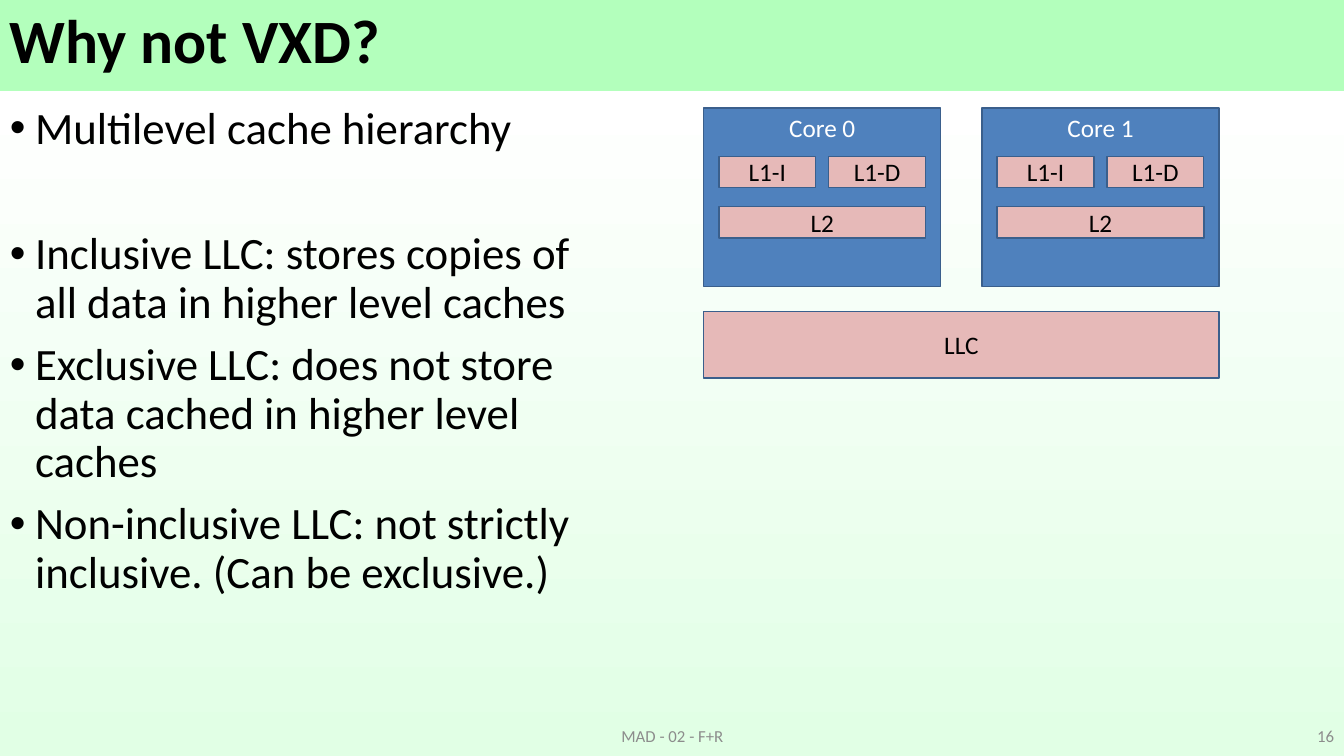
import copy
import pptx
import pptx.dml.color
import pptx.enum.shapes
import pptx.enum.text
import pptx.oxml
import pptx.oxml.ns
import pptx.util

Inches = pptx.util.Inches
Pt = pptx.util.Pt
qn = pptx.oxml.ns.qn
ALIGN = pptx.enum.text.PP_ALIGN
ANCHOR = pptx.enum.text.MSO_ANCHOR

TITLE = "Why not VXD?"
POINTS = [
    ("Multilevel cache hierarchy", 10),
    ("Inclusive LLC: stores copies of all data in higher level caches", 55),
    ("Exclusive LLC: does not store data cached in higher level caches", 10),
    ("Non-inclusive LLC: not strictly inclusive. (Can be exclusive.)", 10),
]
CORES = ["Core 0", "Core 1"]
CORE_CACHES = [["L1-I", "L1-D"], ["L2"]]
SHARED_CACHE = "LLC"
FOOTER = "MAD - 02 - F+R"
PAGE = "16"

THEME = {
    "font": "Calibri",
    "ink": "000000", "core_ink": "FFFFFF", "footer_ink": "8C8C8C",
    "core": "4F81BD", "cache": "E6B9B8", "outline": "3A5F8C",
    "title_size": 44, "body_size": 32, "label_size": 18, "footer_size": 12,
    "background": [(0, "B3FFBC"), (12, "B3FFBC"), (12, "FFFFFF"), (100, "E1FFE5")],
}

DIAGRAM_LEFT, DIAGRAM_TOP = 6.98, 1.07
CORE_WIDTH, CORE_HEIGHT, CORE_PITCH = 2.35, 1.77, 2.76
CACHE_INSET, CACHE_TOP, CACHE_HEIGHT = 0.15, 0.48, 0.31
CACHE_ROW_PITCH, CACHE_GAP = 0.5, 0.13
SHARED_TOP, SHARED_HEIGHT = 3.09, 0.66


def color(name):
    return pptx.dml.color.RGBColor.from_string(THEME[name])


def apply(target, formats):
    for name, value in formats.items():
        setattr(target, name, value)


def write(frame, text, size, ink, paragraph=None, bold=False, **formats):
    paragraph = paragraph or frame.paragraphs[0]
    apply(paragraph, formats)
    run = paragraph.add_run()
    run.text = text
    apply(run.font, {"name": THEME["font"], "size": Pt(THEME[size]), "bold": bold})
    run.font.color.rgb = color(ink)
    return paragraph


def text_area(slide, box, anchor):
    frame = slide.shapes.add_textbox(*map(Inches, box)).text_frame
    apply(frame, {"word_wrap": True, "vertical_anchor": anchor})
    return frame


def block(shapes, text, box, fill, ink="ink", anchor=ANCHOR.MIDDLE):
    rectangle = shapes.add_shape(
        pptx.enum.shapes.MSO_SHAPE.RECTANGLE, *map(Inches, box))
    rectangle.shadow.inherit = False
    rectangle.fill.solid()
    rectangle.fill.fore_color.rgb = color(fill)
    rectangle.line.color.rgb = color("outline")
    rectangle.line.width = Pt(1)
    frame = rectangle.text_frame
    apply(frame, {"word_wrap": True, "vertical_anchor": anchor})
    write(frame, text, "label_size", ink, alignment=ALIGN.CENTER)


def paint_background(slide):
    fill = slide.background.fill
    fill.gradient()
    fill.gradient_angle = 270
    stops = slide.element.find(".//" + qn("a:gsLst"))
    template = copy.deepcopy(stops[0])
    for stop in list(stops):
        stops.remove(stop)
    for position, shade in THEME["background"]:
        stop = copy.deepcopy(template)
        stop.set("pos", str(position * 1000))
        for child in list(stop):
            stop.remove(child)
        stop.append(pptx.oxml.parse_xml(
            f'<a:srgbClr {pptx.oxml.ns.nsdecls("a")} val="{shade}"/>'))
        stops.append(stop)


def add_points(slide):
    frame = text_area(slide, (0, 1, 6.16, 6.5), ANCHOR.TOP)
    for index, (point, gap) in enumerate(POINTS):
        paragraph = frame.add_paragraph() if index else frame.paragraphs[0]
        write(frame, point, "body_size", "ink", paragraph,
              line_spacing=0.9, space_before=Pt(gap))
        properties = paragraph._p.get_or_add_pPr()
        properties.set("marL", str(Inches(0.25)))
        properties.set("indent", str(Inches(-0.25)))
        for tag, name, value in (("buFont", "typeface", "Arial"), ("buChar", "char", "•")):
            properties.append(pptx.oxml.parse_xml(
                f'<a:{tag} {pptx.oxml.ns.nsdecls("a")} {name}="{value}"/>'))


def add_core(slide, label, left):
    core = slide.shapes.add_group_shape().shapes
    block(core, label, (left, DIAGRAM_TOP, CORE_WIDTH, CORE_HEIGHT),
          "core", "core_ink", ANCHOR.TOP)
    inner_width = CORE_WIDTH - 2 * CACHE_INSET
    for level, caches in enumerate(CORE_CACHES):
        width = (inner_width - CACHE_GAP * (len(caches) - 1)) / len(caches)
        top = DIAGRAM_TOP + CACHE_TOP + level * CACHE_ROW_PITCH
        for column, cache in enumerate(caches):
            cache_left = left + CACHE_INSET + column * (width + CACHE_GAP)
            block(core, cache, (cache_left, top, width, CACHE_HEIGHT), "cache")


def main():
    deck = pptx.Presentation()
    apply(deck, {"slide_width": Inches(13.33), "slide_height": Inches(7.5)})
    slide = deck.slides.add_slide(deck.slide_layouts[6])
    paint_background(slide)

    title = text_area(slide, (0, 0, 13.33, 0.87), ANCHOR.MIDDLE)
    write(title, TITLE, "title_size", "ink", bold=True, line_spacing=0.9)
    add_points(slide)

    for index, core in enumerate(CORES):
        add_core(slide, core, DIAGRAM_LEFT + index * CORE_PITCH)
    shared_width = CORE_PITCH * (len(CORES) - 1) + CORE_WIDTH
    block(slide.shapes, SHARED_CACHE,
          (DIAGRAM_LEFT, SHARED_TOP, shared_width, SHARED_HEIGHT), "cache")

    for text, left, width, alignment in (
            (PAGE, 10.33, 3, ALIGN.RIGHT), (FOOTER, 4.42, 4.5, ALIGN.CENTER)):
        footer = text_area(slide, (left, 7.1, width, 0.4), ANCHOR.MIDDLE)
        write(footer, text, "footer_size", "footer_ink", alignment=alignment)

    deck.save("out.pptx")


if __name__ == "__main__":
    main()
